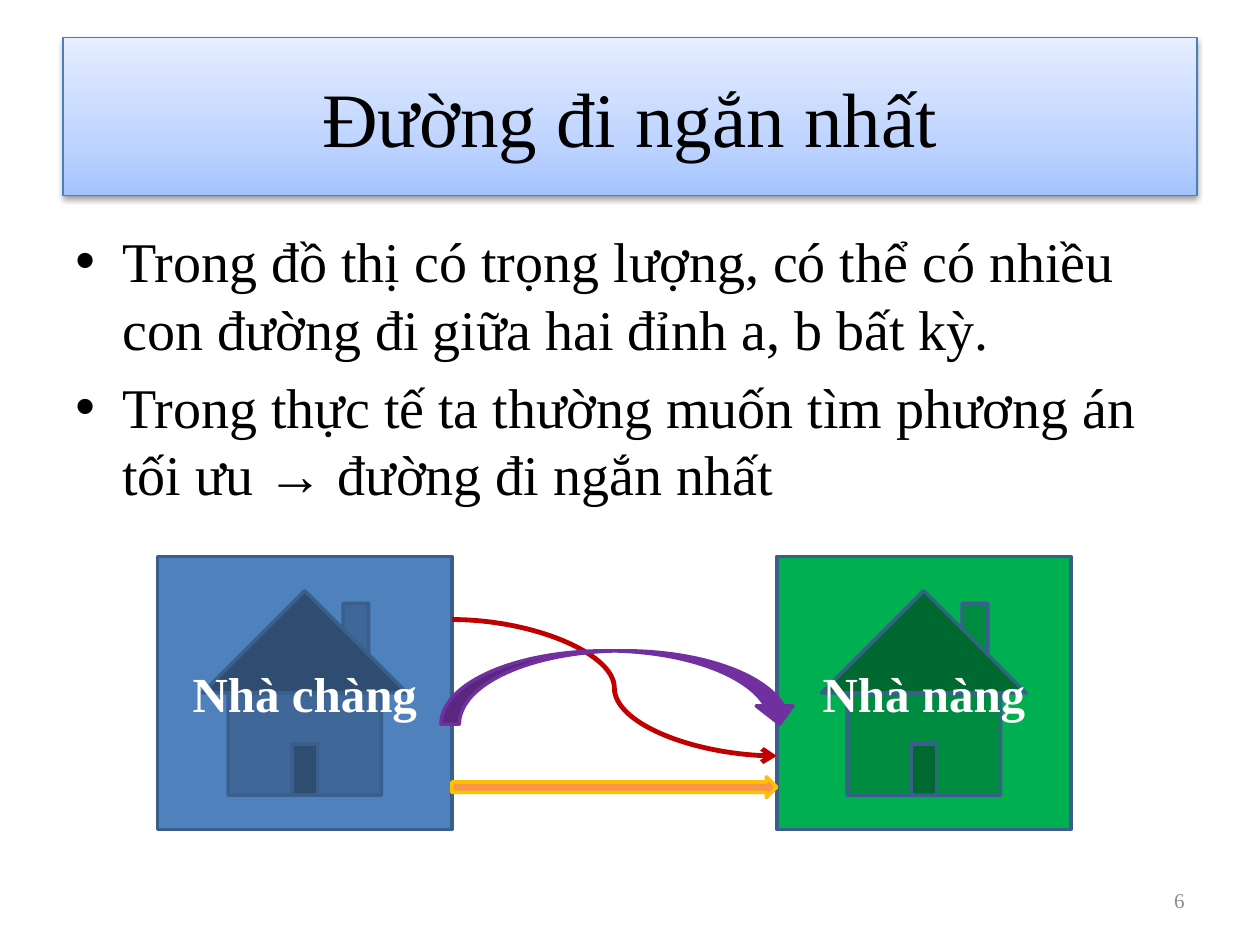
"""Build a slide on shortest paths between two houses."""
from copy import deepcopy
from dataclasses import dataclass

from lxml import etree
from pptx import Presentation
from pptx.dml.color import RGBColor
from pptx.enum.shapes import MSO_CONNECTOR, MSO_SHAPE
from pptx.enum.text import MSO_ANCHOR, PP_ALIGN
from pptx.oxml.ns import qn
from pptx.shapes.autoshape import Shape
from pptx.slide import Slide
from pptx.text.text import TextFrame
from pptx.util import Cm, Pt

RECTANGLE = MSO_SHAPE.RECTANGLE
HOME = MSO_SHAPE.ACTION_BUTTON_HOME
CURVED_ARROW = MSO_SHAPE.CURVED_DOWN_ARROW
RIGHT_ARROW = MSO_SHAPE.RIGHT_ARROW
CURVE = MSO_CONNECTOR.CURVE
LEFT, CENTER, RIGHT = PP_ALIGN.LEFT, PP_ALIGN.CENTER, PP_ALIGN.RIGHT
TOP, MIDDLE = MSO_ANCHOR.TOP, MSO_ANCHOR.MIDDLE

FONT_NAME = "Times New Roman"
BLACK = RGBColor(0x00, 0x00, 0x00)
WHITE = RGBColor(0xFF, 0xFF, 0xFF)
GRAY = RGBColor(0x8C, 0x8C, 0x8C)
BLUE = RGBColor(0x4F, 0x81, 0xBD)
DARK_BLUE = RGBColor(0x3A, 0x5F, 0x8C)
TITLE_BORDER = RGBColor(0x4B, 0x7E, 0xBC)
GREEN = RGBColor(0x00, 0xB0, 0x50)
RED = RGBColor(0xC0, 0x00, 0x00)
PURPLE = RGBColor(0x70, 0x30, 0xA0)
ORANGE = RGBColor(0xF7, 0x96, 0x46)
GOLD = RGBColor(0xFF, 0xC0, 0x00)
TITLE_GRADIENT = (
    (0, RGBColor(0xA4, 0xC4, 0xFF)),
    (0.35, RGBColor(0xBF, 0xD4, 0xFF)),
    (1, RGBColor(0xE6, 0xEE, 0xFF)),
)

MARGIN, CONTENT_WIDTH = 1.27, 22.86
HOUSE_TOP, HOUSE_WIDTH, HOUSE_HEIGHT = 11.22, 5.93, 5.5
LEFT_HOUSE, RIGHT_HOUSE = 3.18, 15.66
ROAD_START = LEFT_HOUSE + HOUSE_WIDTH
ROAD_LENGTH = RIGHT_HOUSE - ROAD_START

TITLE = "Đường đi ngắn nhất"
BULLETS = (
    "Trong đồ thị có trọng lượng, có thể có nhiều con đường đi giữa hai đỉnh a, b bất kỳ.",
    "Trong thực tế ta thường muốn tìm phương án tối ưu → đường đi ngắn nhất",
)


@dataclass(frozen=True)
class Figure:
    """A filled preset shape, measured in centimetres."""

    kind: MSO_SHAPE
    left: float
    top: float
    width: float
    height: float
    fill: RGBColor
    line: RGBColor
    label: str = ""


FIGURES = (
    Figure(HOME, LEFT_HOUSE, HOUSE_TOP, HOUSE_WIDTH, HOUSE_HEIGHT, BLUE, DARK_BLUE, "Nhà chàng"),
    Figure(HOME, RIGHT_HOUSE, HOUSE_TOP, HOUSE_WIDTH, HOUSE_HEIGHT, GREEN, DARK_BLUE, "Nhà nàng"),
    Figure(CURVED_ARROW, 8.89, 13.12, 7.2, 1.48, PURPLE, PURPLE),
    Figure(RIGHT_ARROW, ROAD_START, 15.66, ROAD_LENGTH, 0.42, ORANGE, GOLD),
)


def write_text(frame: TextFrame, texts: tuple[str, ...], size: float, color: RGBColor,
               alignment: PP_ALIGN, anchor: MSO_ANCHOR, bold: bool = False) -> None:
    """Fill a text frame with one paragraph per text."""
    frame.word_wrap = True
    frame.vertical_anchor = anchor
    for index, text in enumerate(texts):
        paragraph = frame.add_paragraph() if index else frame.paragraphs[0]
        paragraph.text = text
        paragraph.alignment = alignment
        paragraph.font.name = FONT_NAME
        paragraph.font.size = Pt(size)
        paragraph.font.bold = bold
        paragraph.font.color.rgb = color


def add_figure(slide: Slide, figure: Figure) -> Shape:
    """Draw a preset shape with its label."""
    shape = slide.shapes.add_shape(figure.kind, Cm(figure.left), Cm(figure.top),
                                   Cm(figure.width), Cm(figure.height))
    shape.shadow.inherit = False
    shape.fill.solid()
    shape.fill.fore_color.rgb = figure.fill
    shape.line.color.rgb = figure.line
    shape.line.width = Pt(2)
    if figure.label:
        write_text(shape.text_frame, (figure.label,), 28, WHITE, CENTER, MIDDLE, True)
    return shape


def add_title(slide: Slide) -> None:
    """Draw the title banner with its gradient and shadow."""
    banner = add_figure(slide, Figure(RECTANGLE, MARGIN, 0.76, CONTENT_WIDTH, 3.18,
                                      BLUE, TITLE_BORDER))
    banner.line.width = Pt(0.75)
    banner.fill.gradient()
    banner.fill.gradient_angle = 90
    properties = banner._element.spPr
    stop_list = properties.find(qn("a:gradFill")).find(qn("a:gsLst"))
    stop_list.append(deepcopy(stop_list[-1]))
    for stop, (position, color) in zip(banner.fill.gradient_stops, TITLE_GRADIENT):
        stop.position = position
        stop.color.rgb = color
    shadow = etree.SubElement(properties.find(qn("a:effectLst")), qn("a:outerShdw"),
                              blurRad=str(Pt(3.1)), dist=str(Pt(1.6)),
                              dir="5400000", rotWithShape="0")
    shadow_color = etree.SubElement(shadow, qn("a:srgbClr"), val=str(BLACK))
    etree.SubElement(shadow_color, qn("a:alpha"), val="38000")
    write_text(banner.text_frame, (TITLE,), 44, BLACK, CENTER, MIDDLE)


def add_bullets(slide: Slide) -> None:
    """Draw the bulleted text."""
    frame = slide.shapes.add_textbox(Cm(MARGIN), Cm(4.45), Cm(CONTENT_WIDTH),
                                     Cm(12.57)).text_frame
    write_text(frame, BULLETS, 32, BLACK, LEFT, TOP)
    for paragraph in frame.paragraphs:
        paragraph.space_before = Pt(6.4)
        properties = paragraph._p.get_or_add_pPr()
        properties.set("marL", str(Cm(0.95)))
        properties.set("indent", str(-Cm(0.95)))
        defaults = properties.find(qn("a:defRPr"))
        bullet_font = etree.Element(qn("a:buFont"), typeface="Arial")
        bullet = etree.Element(qn("a:buChar"), char="•")
        defaults.addprevious(bullet_font)
        defaults.addprevious(bullet)


def add_curved_road(slide: Slide) -> None:
    """Draw the curved connector between the houses."""
    road = slide.shapes.add_connector(CURVE, Cm(ROAD_START), Cm(12.49),
                                      Cm(RIGHT_HOUSE), Cm(15.24))
    road.line.color.rgb = RED
    road.line.width = Pt(2.75)
    etree.SubElement(road.line._get_or_add_ln(), qn("a:tailEnd"), type="arrow")
    etree.SubElement(road._element.spPr, qn("a:effectLst"))


def main() -> None:
    """Build and save the presentation."""
    presentation = Presentation()
    presentation.slide_width, presentation.slide_height = Cm(25.4), Cm(19.05)
    slide = presentation.slides.add_slide(presentation.slide_layouts[6])
    add_title(slide)
    add_bullets(slide)
    houses, arrows = FIGURES[:2], FIGURES[2:]
    for house in houses:
        add_figure(slide, house)
    add_curved_road(slide)
    for arrow in arrows:
        add_figure(slide, arrow)
    number = slide.shapes.add_textbox(Cm(18.2), Cm(17.65), Cm(5.93), Cm(1.01))
    write_text(number.text_frame, ("6",), 12, GRAY, RIGHT, MIDDLE)
    presentation.save("out.pptx")


main()
